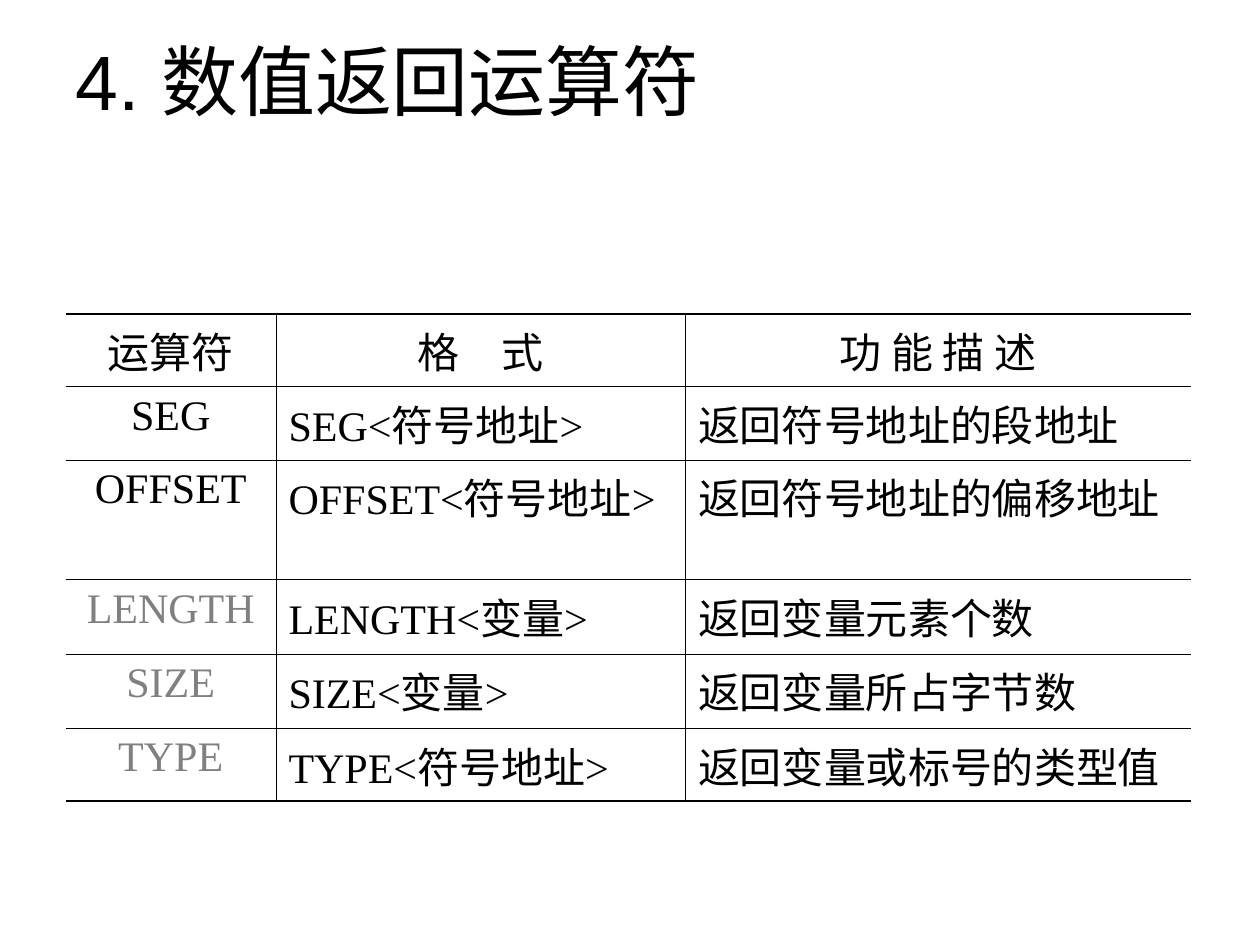
import pptx
import pptx.util
import pptx.dml.color
import pptx.enum.text
import pptx.oxml.ns
import lxml.etree

Inches, Pt = pptx.util.Inches, pptx.util.Pt
ALIGN = pptx.enum.text.PP_ALIGN
MIDDLE = pptx.enum.text.MSO_ANCHOR.MIDDLE

# Content
TITLE = "4. 数值返回运算符"
ROWS = [
    ("运算符", "格　式", "功 能 描 述"),
    ("SEG", "SEG<符号地址>", "返回符号地址的段地址"),
    ("OFFSET", "OFFSET<符号地址>", "返回符号地址的偏移地址"),
    ("LENGTH", "LENGTH<变量>", "返回变量元素个数"),
    ("SIZE", "SIZE<变量>", "返回变量所占字节数"),
    ("TYPE", "TYPE<符号地址>", "返回变量或标号的类型值"),
]
MUTED = {"LENGTH", "SIZE", "TYPE"}
WIDTHS = [1.67, 3.25, 4.01]
HEIGHTS = [0.58, 0.58, 0.95, 0.59, 0.59, 0.58]
BLACK, GREY = "000000", "808080"
THIN, THICK = 0.45, 1.08


def color(code):
    return pptx.dml.color.RGBColor.from_string(code)


def write(frame, text, size=24, font="Times New Roman", tint=BLACK, align=ALIGN.LEFT):
    para = frame.paragraphs[0]
    para.alignment = align
    run = para.add_run()
    run.text = text
    run.font.size = Pt(size)
    run.font.name = font
    run.font.color.rgb = color(tint)


def border(cell, side, width):
    """Draw one cell edge; a width of 0 leaves it empty."""
    qn = pptx.oxml.ns.qn
    line = lxml.etree.SubElement(cell._tc.get_or_add_tcPr(), qn("a:ln" + side))
    line.set("w", str(int(Pt(width))))
    if width:
        fill = lxml.etree.SubElement(line, qn("a:solidFill"))
        lxml.etree.SubElement(fill, qn("a:srgbClr")).set("val", BLACK)
    else:
        lxml.etree.SubElement(line, qn("a:noFill"))


deck = pptx.Presentation()
deck.slide_width, deck.slide_height = Inches(10), Inches(7.5)
slide = deck.slides.add_slide(deck.slide_layouts[6])

# Title
box = slide.shapes.add_textbox(Inches(0.5), Inches(0.12), Inches(9), Inches(1.03))
box.text_frame.word_wrap = True
box.text_frame.vertical_anchor = MIDDLE
write(box.text_frame, TITLE, size=44, font="Arial")

# Table of operators
last, end = len(ROWS) - 1, len(WIDTHS) - 1
table = slide.shapes.add_table(
    len(ROWS), len(WIDTHS), Inches(0.52), Inches(2.49),
    Inches(sum(WIDTHS)), Inches(sum(HEIGHTS))).table
table.first_row = table.horz_banding = False
for col, width in zip(table.columns, WIDTHS):
    col.width = Inches(width)
for row, height in zip(table.rows, HEIGHTS):
    row.height = Inches(height)

for r, row in enumerate(ROWS):
    for c, text in enumerate(row):
        cell = table.cell(r, c)
        # Open at both sides, heavier rules at top and bottom
        border(cell, "L", THIN if c > 0 else 0)
        border(cell, "R", THIN if c < end else 0)
        border(cell, "T", THIN if r > 0 else THICK)
        border(cell, "B", THIN if r < last else THICK)
        cell.fill.background()
        write(cell.text_frame, text, tint=GREY if text in MUTED else BLACK,
              align=ALIGN.CENTER if r == 0 or c == 0 else ALIGN.LEFT)

deck.save("out.pptx")
